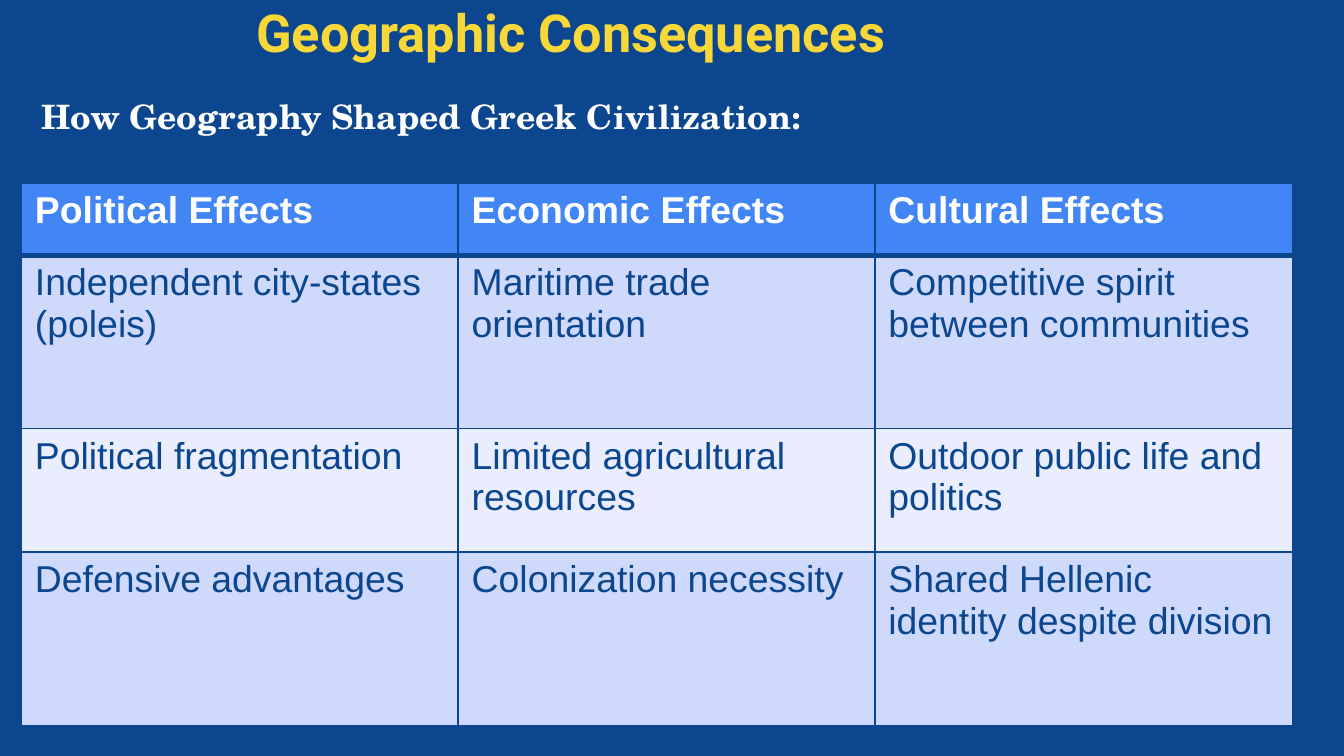
from dataclasses import dataclass

from lxml.etree import SubElement
from pptx import Presentation
from pptx.dml.color import RGBColor
from pptx.enum.text import MSO_ANCHOR as Anchor, MSO_AUTO_SIZE as AutoSize
from pptx.oxml.ns import qn
from pptx.util import Inches, Pt

COLORS = {
    "navy": "0B468E",
    "yellow": "F8D738",
    "white": "FFFFFF",
    "header": "4285F4",
    "band_dark": "CFD9FB",
    "band_light": "E9EDFD",
}
COLUMN_WIDTHS = (3.25, 3.1, 3.11)
ROW_HEIGHTS = (0.54, 1.29, 0.92, 1.29)
EFFECTS = (
    ("Political Effects", "Economic Effects", "Cultural Effects"),
    (
        "Independent city-states (poleis)",
        "Maritime trade orientation",
        "Competitive spirit between communities",
    ),
    (
        "Political fragmentation",
        "Limited agricultural resources",
        "Outdoor public life and politics",
    ),
    (
        "Defensive advantages",
        "Colonization necessity",
        "Shared Hellenic identity despite division",
    ),
)


@dataclass(frozen=True)
class TextStyle:
    font: str
    size: float
    color: str
    bold: bool = False


@dataclass(frozen=True)
class Heading:
    text: str
    left: float
    top: float
    width: float
    height: float
    style: TextStyle
    anchor: Anchor = Anchor.TOP
    line_spacing: float = 1.0


HEADINGS = (
    Heading("Geographic Consequences", 1.81, 0.2, 6.68, 0.37,
            TextStyle("Roboto", 28, "yellow", True), Anchor.BOTTOM),
    Heading("How Geography Shaped Greek Civilization:", 0.21, 0.57, 9.41, 0.62,
            TextStyle("TeX Gyre Schola", 18, "white", True), line_spacing=1.15),
)
HEADER_STYLE = TextStyle("Arial", 20, "white", True)
BODY_STYLE = TextStyle("Arial", 20, "navy")


def rgb(name: str) -> RGBColor:
    return RGBColor.from_string(COLORS[name])


def write(para, text: str, style: TextStyle) -> None:
    para.text = text
    para.font.name = style.font
    para.font.size = Pt(style.size)
    para.font.bold = style.bold
    para.font.color.rgb = rgb(style.color)


def draw_heading(page, heading: Heading) -> None:
    box = page.shapes.add_textbox(Inches(heading.left), Inches(heading.top),
                                  Inches(heading.width), Inches(heading.height))
    frame = box.text_frame
    frame.word_wrap = True
    frame.auto_size = AutoSize.NONE
    frame.vertical_anchor = heading.anchor
    frame.margin_left = frame.margin_right = Inches(0.1)
    frame.margin_top = frame.margin_bottom = Inches(0.1)
    para = frame.paragraphs[0]
    para.line_spacing = heading.line_spacing
    write(para, heading.text, heading.style)


def add_borders(cell, color: str, bottom_width: float) -> None:
    properties = cell._tc.get_or_add_tcPr()
    widths = {"a:lnL": 1, "a:lnR": 1, "a:lnT": 1, "a:lnB": bottom_width}
    for position, (side, width) in enumerate(widths.items()):
        line = properties.makeelement(qn(side), {"w": str(Pt(width))})
        fill = SubElement(line, qn("a:solidFill"))
        SubElement(fill, qn("a:srgbClr"), val=COLORS[color])
        properties.insert(position, line)


def draw_effects_table(page, left: float, top: float) -> None:
    table = page.shapes.add_table(
        len(ROW_HEIGHTS), len(COLUMN_WIDTHS), Inches(left), Inches(top),
        Inches(sum(COLUMN_WIDTHS)), Inches(sum(ROW_HEIGHTS))).table
    for column, width in zip(table.columns, COLUMN_WIDTHS):
        column.width = Inches(width)
    for index, (row, height, texts) in enumerate(zip(table.rows, ROW_HEIGHTS, EFFECTS)):
        row.height = Inches(height)
        band = "band_dark" if index % 2 else "band_light"
        for cell, text in zip(row.cells, texts):
            cell.fill.solid()
            cell.fill.fore_color.rgb = rgb(band if index else "header")
            add_borders(cell, "navy", 1 if index else 3)
            write(cell.text_frame.paragraphs[0], text,
                  BODY_STYLE if index else HEADER_STYLE)


def main() -> None:
    deck = Presentation()
    deck.slide_width = Inches(10)
    deck.slide_height = Inches(10 * 9 / 16)
    page = deck.slides.add_slide(deck.slide_layouts[6])
    page.background.fill.solid()
    page.background.fill.fore_color.rgb = rgb("navy")
    for heading in HEADINGS:
        draw_heading(page, heading)
    draw_effects_table(page, 0.16, 1.36)
    deck.save("out.pptx")


if __name__ == "__main__":
    main()
